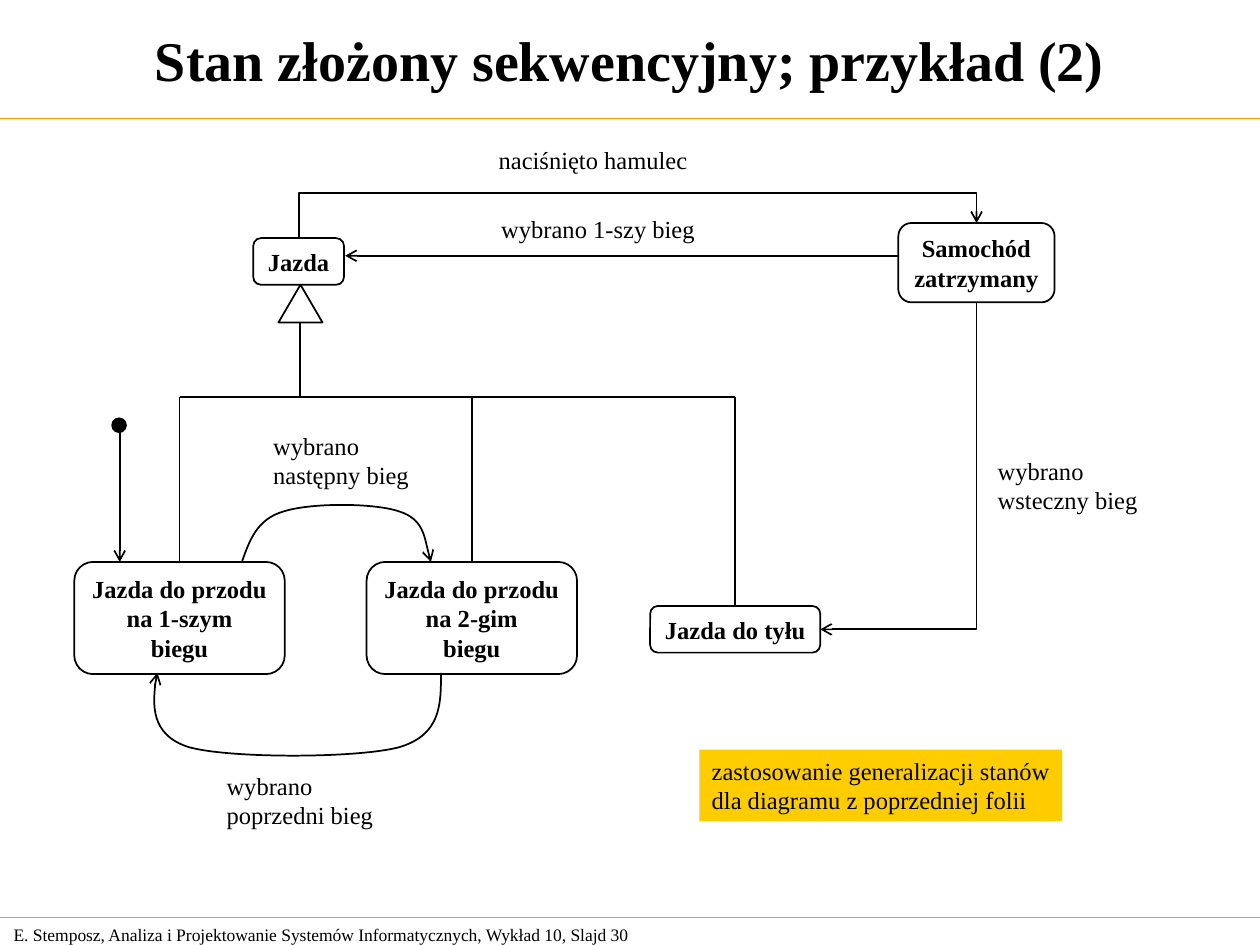
from dataclasses import dataclass

from lxml import etree
from pptx import Presentation, util as u
from pptx.dml.color import RGBColor
from pptx.enum import shapes, text
from pptx.oxml.ns import qn


@dataclass(frozen=True)
class Theme:
    """Colours, type sizes and line widths of the deck."""
    font: str = "Times New Roman"
    ink: str = "000000"
    paper: str = "FFFFFF"
    rule: str = "FF9900"
    note: str = "FFCC00"
    title: int = 32
    body: int = 14
    footer: int = 10
    stroke: float = 1
    rule_stroke: float = 0.75


@dataclass(frozen=True)
class Box:
    """A region on a grid of 100 columns by 75 rows."""
    col: float
    row: float
    cols: float
    rows: float

    def point(self, col, row):
        """Return the slide position of a grid point inside the region."""
        return u.Inches((self.col + col) * CELL), u.Inches((self.row + row) * CELL)

    def frame(self, col, row, cols, rows):
        """Return the slide frame of a part inside the region."""
        return *self.point(col, row), u.Inches(cols * CELL), u.Inches(rows * CELL)


THEME = Theme()
CELL = 0.1
ALIGN = text.PP_ALIGN
ANCHOR = text.MSO_ANCHOR
SHAPE = shapes.MSO_SHAPE
LINE = shapes.MSO_CONNECTOR


def apply(target, **values):
    """Set every given value as an attribute of the target."""
    for name, value in values.items():
        setattr(target, name, value)


def write(shape, lines, size=THEME.body, bold=False, align=ALIGN.LEFT,
          anchor=ANCHOR.TOP, wrap=False):
    """Fill a shape with one formatted paragraph per line."""
    frame = shape.text_frame
    apply(frame, word_wrap=wrap, vertical_anchor=anchor,
          auto_size=text.MSO_AUTO_SIZE.NONE)
    apply(frame, margin_left=u.Inches(0.1), margin_right=u.Inches(0.1),
          margin_top=u.Inches(0.05), margin_bottom=u.Inches(0.05))
    for index, line in enumerate(lines):
        para = frame.add_paragraph() if index else frame.paragraphs[0]
        para.alignment = align
        span = para.add_run()
        span.text = line
        apply(span.font, name=THEME.font, size=u.Pt(size), bold=bold)
        span.font.color.rgb = RGBColor.from_string(THEME.ink)


def stroke(part, colour=THEME.ink, width=THEME.stroke, arrow=False):
    """Draw the line of a part, with an open arrowhead if asked."""
    part.line.color.rgb = RGBColor.from_string(colour)
    part.line.width = u.Pt(width)
    if arrow:
        etree.SubElement(part.line._get_or_add_ln(), qn("a:tailEnd"), type="arrow")


def solid(page, kind, frame, fill, outlined=True):
    """Add a flat preset shape."""
    shape = page.shapes.add_shape(kind, *frame)
    shape.shadow.inherit = False
    shape.fill.solid()
    shape.fill.fore_color.rgb = RGBColor.from_string(fill)
    if outlined:
        stroke(shape)
    else:
        shape.line.fill.background()
    return shape


def state(page, frame, *lines):
    """Add a rounded state with its bold name."""
    shape = solid(page, SHAPE.ROUNDED_RECTANGLE, frame, THEME.paper)
    write(shape, lines, bold=True, align=ALIGN.CENTER, anchor=ANCHOR.MIDDLE)
    return shape


def label(page, frame, *lines, **style):
    """Add a plain text label."""
    write(page.shapes.add_textbox(*frame), lines, **style)


def connect(page, start, end, kind=LINE.STRAIGHT, **style):
    """Add a connector without a shadow."""
    connector = page.shapes.add_connector(kind, *start, *end)
    stroke(connector, **style)
    etree.SubElement(connector._element.spPr, qn("a:effectLst"))
    return connector


def elbow(page, source, source_site, target, target_site, preset, adjust=None):
    """Join two states with a bent arrow that leaves vertically."""
    connector = connect(page, (0, 0), (0, 0), LINE.ELBOW, arrow=True)
    connector.begin_connect(source, source_site)
    connector.end_connect(target, target_site)
    across = connector.end_x - connector.begin_x
    down = connector.end_y - connector.begin_y
    middle = connector.begin_x + across // 2, connector.begin_y + down // 2
    width, height = abs(down), abs(across)
    apply(connector, left=middle[0] - width // 2, top=middle[1] - height // 2,
          width=width, height=height)
    properties = connector._element.spPr
    turn = {"rot": "5400000", "flipH": str(int(down < 0)), "flipV": str(int(across > 0))}
    for name, value in turn.items():
        properties.find(qn("a:xfrm")).set(name, value)
    geometry = properties.find(qn("a:prstGeom"))
    geometry.set("prst", preset)
    if adjust:
        guides = geometry.find(qn("a:avLst"))
        etree.SubElement(guides, qn("a:gd"), name="adj1", fmla=f"val {adjust}")


def curve(page, box, points):
    """Add a curved arrow through cubic segments of three points each."""
    start, *rest = [box.point(*point) for point in points]
    builder = page.shapes.build_freeform(*start)
    builder.add_line_segments(rest, close=False)
    shape = builder.convert_to_shape()
    shape.shadow.inherit = False
    shape.fill.background()
    stroke(shape, arrow=True)
    outline = shape._element.spPr.find(".//" + qn("a:path"))
    steps = outline.findall(qn("a:lnTo"))
    for first in range(0, len(steps), 3):
        cubic = etree.SubElement(outline, qn("a:cubicBezTo"))
        for step in steps[first:first + 3]:
            cubic.append(step[0])
            outline.remove(step)


def title_band(page, box):
    """Place the title and the rule below it."""
    title = page.shapes.title
    names = "left", "top", "width", "height"
    apply(title, **dict(zip(names, box.frame(0.4, 0.4, box.cols - 0.8, 8.5))))
    write(title, ["Stan złożony sekwencyjny; przykład (2)"], THEME.title, True,
          ALIGN.CENTER, ANCHOR.MIDDLE, True)
    connect(page, box.point(0, box.rows), box.point(box.cols, box.rows),
            colour=THEME.rule, width=THEME.rule_stroke)


def footer_band(page, box):
    """Place the footer and the rule above it."""
    label(page, box.frame(0.1, 0, 52.4, 2.7),
          "E. Stemposz, Analiza i Projektowanie Systemów Informatycznych, Wykład 10, Slajd 30",
          size=THEME.footer, anchor=ANCHOR.MIDDLE)
    connect(page, box.point(0, 0), box.point(box.cols, 0),
            colour=THEME.rule, width=THEME.rule_stroke)


def gear_states(page, box):
    """Place the two forward gears, their loop and the initial state."""
    gears = [state(page, box.frame(5.9 + 23.2 * index, 11.4, 16.7, 8.9),
                   "Jazda do przodu", name, "biegu")
             for index, name in enumerate(("na 1-szym", "na 2-gim"))]
    curve(page, box, [(19.2, 11.4), (19.8, 9.7), (20.4, 8), (22.5, 7.4), (24.6, 6.7),
                      (29.7, 6.7), (31.7, 7.4), (33.6, 8), (33.9, 10.4), (34.2, 11.4)])
    curve(page, box, [(35, 20.2), (35, 22.7), (35, 25.1), (31.7, 26.1), (28.3, 27),
                      (18.2, 27), (15, 26.1), (11.8, 25.1), (12.2, 20.6), (12.5, 20.2)])
    label(page, box.frame(20.7, 0.5, 12.8, 5.7), "wybrano", "następny bieg")
    label(page, box.frame(17, 27.5, 13.6, 5.7), "wybrano", "poprzedni bieg")
    connect(page, box.point(9.5, 0.6), box.point(9.5, 11.4), arrow=True)
    solid(page, SHAPE.OVAL, box.frame(8.9, 0, 1.1, 1.1), THEME.ink)
    return gears


def generalization(page, box, children):
    """Place the driving state and the tree that leads to its children."""
    driving = state(page, box.frame(0, 0, 7.2, 3.7), "Jazda")
    solid(page, SHAPE.ISOSCELES_TRIANGLE, box.frame(2, 3.7, 3.5, 3), THEME.paper)
    connect(page, box.point(3.7, 6.7), box.point(3.7, box.rows))
    level = box.point(0, box.rows)[1]
    tops = [child.left + child.width // 2 for child in children]
    connect(page, (tops[0], level), (tops[-1], level))
    for child, top in zip(children, tops):
        connect(page, (top, level), (top, child.top)).end_connect(child, 0)
    return driving


def stop_transitions(page, box, driving, reverse):
    """Place the stopped state and the transitions to and from it."""
    stopped = state(page, box.frame(51.2, 6.7, 12.4, 6.3), "Samochód", "zatrzymany")
    elbow(page, stopped, 2, reverse, 3, "bentConnector2")
    elbow(page, driving, 0, stopped, 0, "bentConnector3", 300000)
    connect(page, box.point(51.2, 9.3), box.point(7.3, 9.3), arrow=True)
    label(page, box.frame(58.1, 24.7, 13.1, 5.7), "wybrano", "wsteczny bieg")
    label(page, box.frame(18.7, 5.5, 17.4, 3.4), "wybrano 1-szy bieg")
    label(page, box.frame(18.5, 0, 17, 3.4), "naciśnięto hamulec")


def note(page, box):
    """Place the highlighted remark."""
    shape = solid(page, SHAPE.RECTANGLE, box.frame(0, 0, box.cols, box.rows),
                  THEME.note, outlined=False)
    write(shape, ["zastosowanie generalizacji stanów", "dla diagramu z poprzedniej folii"])


def main():
    """Build and save the deck."""
    deck = Presentation()
    apply(deck, slide_width=u.Inches(100 * CELL), slide_height=u.Inches(75 * CELL))
    page = deck.slides.add_slide(deck.slide_layouts[5])
    title_band(page, Box(0, 0, 100, 9.4))
    footer_band(page, Box(0, 72.8, 100, 2.2))
    gears = gear_states(page, Box(0, 33.2, 50, 33.2))
    reverse = state(page, Box(51.6, 48.1, 13.5, 3.7).frame(0, 0, 13.5, 3.7), "Jazda do tyłu")
    driving = generalization(page, Box(20.1, 18.9, 40, 12.6), [*gears, reverse])
    stop_transitions(page, Box(20.1, 11, 72, 40), driving, reverse)
    note(page, Box(55.5, 59.5, 28.8, 5.7))
    deck.save("out.pptx")


if __name__ == "__main__":
    main()
